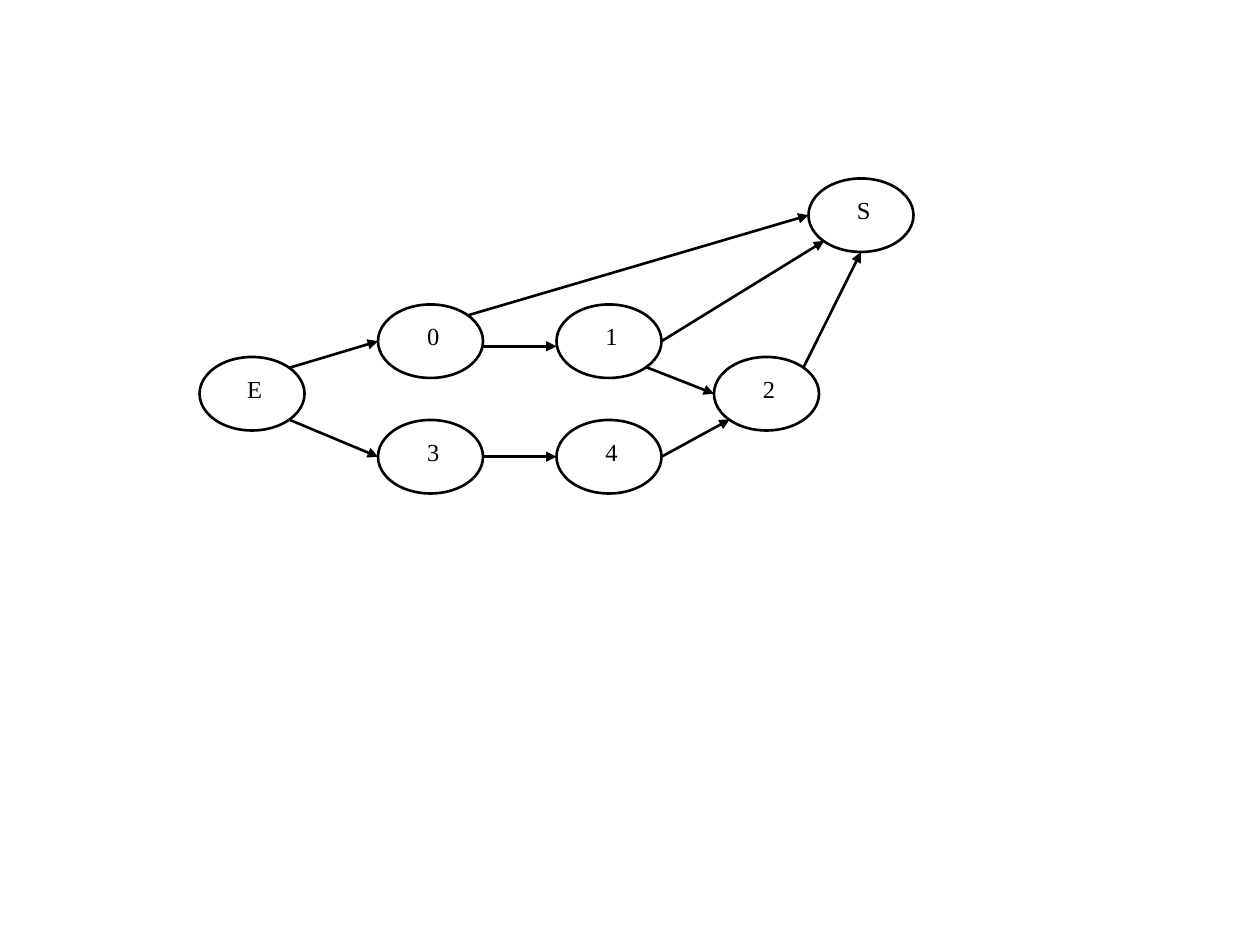
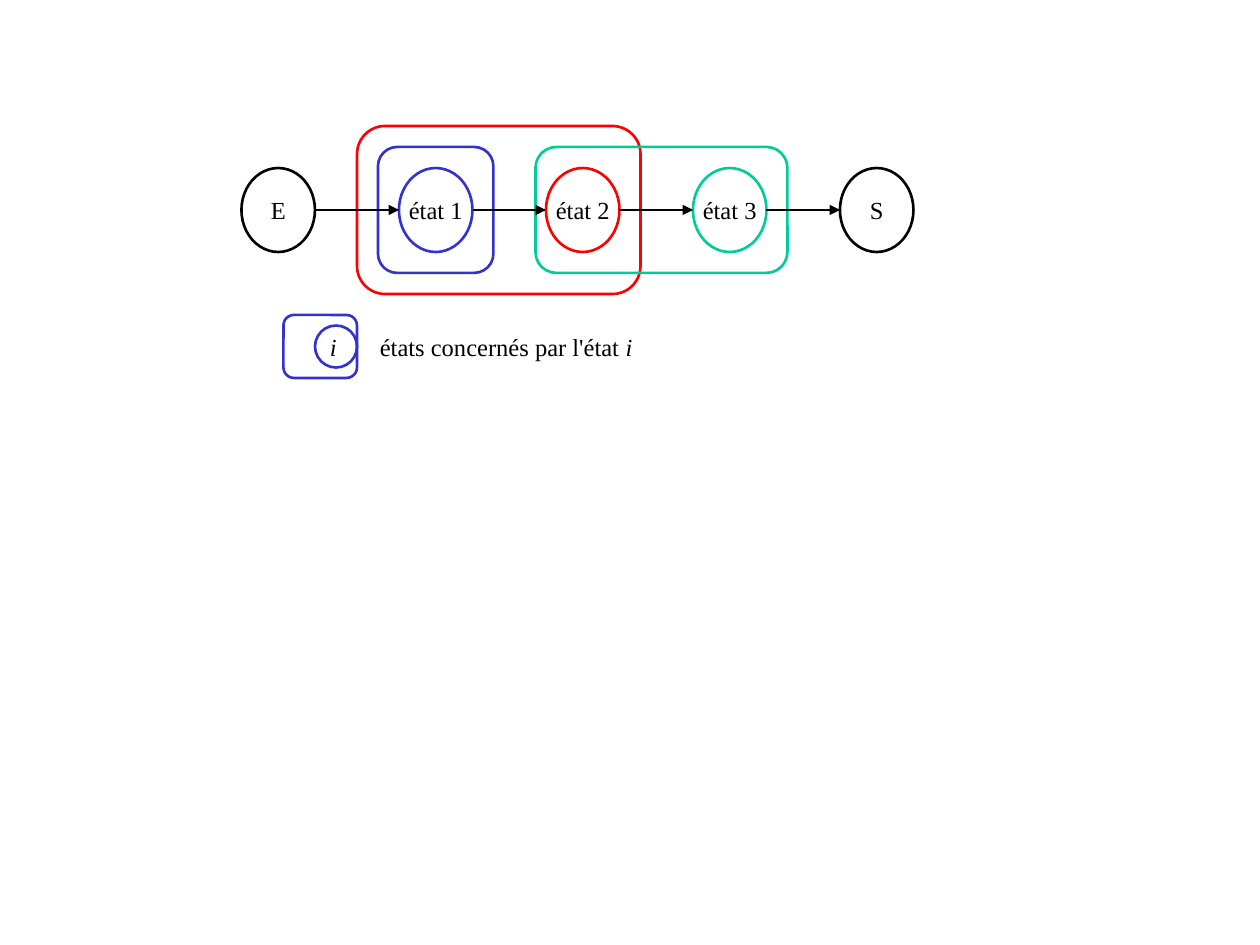
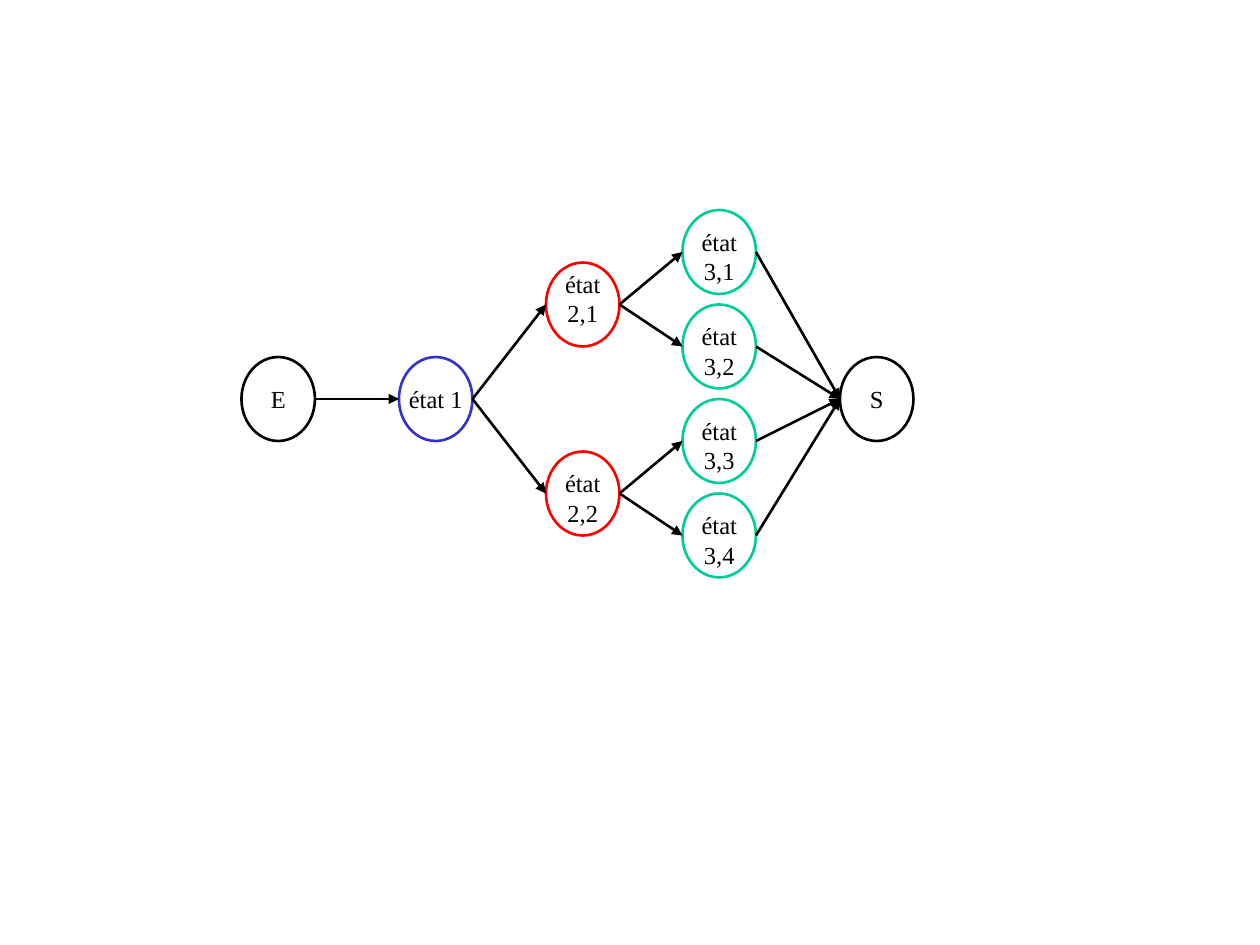
"""Build three state-diagram slides on a grid of 120 columns by 90 rows."""
from lxml.etree import SubElement
from pptx import Presentation
from pptx.dml.color import RGBColor
from pptx.enum.shapes import MSO_CONNECTOR, MSO_SHAPE
from pptx.enum.text import MSO_AUTO_SIZE, PP_ALIGN
from pptx.oxml.ns import qn
from pptx.util import Inches, Pt

COLORS = {"ink": "000000", "blue": "3333CC", "red": "FF0000", "green": "00CC99"}
FONT = "Times New Roman"
FONT_SIZE = Pt(14)
LINE_WIDTH = Pt(1.5)
LINE_ROWS = 4
SITES = {
    "e": (1, 0.5), "w": (0, 0.5), "s": (0.5, 1),
    "ne": (0.85, 0.15), "se": (0.85, 0.85), "sw": (0.15, 0.85),
    "e low": (1, 0.57), "w low": (0, 0.57),
}

prs = Presentation()
prs.slide_width = Inches(10)
prs.slide_height = Inches(7.5)
UNIT = prs.slide_width / 120


def grid(*cells):
    """Turn grid positions into slide lengths."""
    return [round(cell * UNIT) for cell in cells]


def add_label(slide, col, row, width, height, plain, italic="", align=PP_ALIGN.CENTER):
    """Place a label whose last part may be italic."""
    label = slide.shapes.add_textbox(*grid(col, row, width, height))
    frame = label.text_frame
    frame.word_wrap = True
    frame.auto_size = MSO_AUTO_SIZE.SHAPE_TO_FIT_TEXT
    paragraph = frame.paragraphs[0]
    paragraph.text = plain
    paragraph.alignment = align
    if italic:
        variable = paragraph.add_run()
        variable.text = italic
        variable.font.italic = True
    for run in paragraph.runs:
        run.font.name = FONT
        run.font.size = FONT_SIZE
        run.font.color.rgb = RGBColor.from_string(COLORS["ink"])


branching = {
    "size": (10, 7),
    "label": (3, 4.5),
    "states": {
        "0": (36, 29, "ink", 1), "3": (36, 40, "ink", 1),
        "1": (53, 29, "ink", 1), "4": (53, 40, "ink", 1),
        "2": (68, 34, "ink", 1), "E": (19, 34, "ink", 1), "S": (77, 17, "ink", 1),
    },
    "transitions": [
        ("E", "ne", "0", "w"), ("E", "se", "3", "w"),
        ("0", "e low", "1", "w low"), ("3", "e", "4", "w"),
        ("0", "ne", "S", "w"), ("4", "e", "2", "sw"),
        ("1", "e", "S", "sw"), ("2", "ne", "S", "s"), ("1", "se", "2", "w"),
    ],
    "frames": [],
}

chain_states = {
    "E": (23, 16, "ink", 2), "état 1": (38, 16, "blue", 2),
    "état 2": (52, 16, "red", 2), "état 3": (66, 16, "green", 2), "S": (80, 16, "ink", 2),
}
chain_names = list(chain_states)
chain = {
    "size": (7, 8),
    "label": (-1, 9),
    "states": chain_states,
    "transitions": [(a, "e", b, "w") for a, b in zip(chain_names, chain_names[1:])],
    "frames": [
        (MSO_SHAPE.ROUNDED_RECTANGLE, (36, 14, 11, 12), "blue"),
        (MSO_SHAPE.ROUNDED_RECTANGLE, (34, 12, 27, 16), "red"),
        (MSO_SHAPE.ROUNDED_RECTANGLE, (51, 14, 24, 12), "green"),
        (MSO_SHAPE.ROUNDED_RECTANGLE, (27, 30, 7, 6), "blue"),
        (MSO_SHAPE.OVAL, (30, 31, 4, 4), "blue"),
    ],
}

tree_states = {
    "E": (23, 34, "ink", 2), "état 1": (38, 34, "blue", 2), "S": (80, 34, "ink", 2),
    "état 2,1": (52, 25, "red", 0), "état 2,2": (52, 43, "red", 1),
}
tree_transitions = [
    ("E", "e", "état 1", "w"),
    ("état 1", "e", "état 2,1", "w"), ("état 1", "e", "état 2,2", "w"),
]
for index in range(4):
    leaf = f"état 3,{index + 1}"
    tree_states[leaf] = (65, 20 + 9 * index, "green", 1)
    tree_transitions.append((f"état 2,{index // 2 + 1}", "e", leaf, "w"))
    tree_transitions.append((leaf, "e", "S", "w"))
tree = {
    "size": (7, 8),
    "label": (-1, 9),
    "states": tree_states,
    "transitions": tree_transitions,
    "frames": [],
}

slides = []
for diagram in (branching, chain, tree):
    slide = prs.slides.add_slide(prs.slide_layouts[6])
    slides.append(slide)
    width, height = diagram["size"]
    label_shift, label_width = diagram["label"]
    states = diagram["states"]

    outlines = [(MSO_SHAPE.OVAL, (col, row, width, height), color)
                for col, row, color, _ in states.values()]
    for preset, cells, color in outlines + diagram["frames"]:
        outline = slide.shapes.add_shape(preset, *grid(*cells))
        outline.shadow.inherit = False
        outline.fill.background()
        outline.line.color.rgb = RGBColor.from_string(COLORS[color])
        outline.line.width = LINE_WIDTH

    for name, (col, row, _, drop) in states.items():
        rows = 7 if "," in name else LINE_ROWS
        add_label(slide, col + label_shift, row + drop, label_width, rows, name)

    for source, exit_site, target, entry_site in diagram["transitions"]:
        ends = []
        for name, site in ((source, exit_site), (target, entry_site)):
            col, row = states[name][:2]
            across, down = SITES[site]
            ends += [col + across * width, row + down * height]
        arrow = slide.shapes.add_connector(MSO_CONNECTOR.STRAIGHT, *grid(*ends))
        arrow.line.color.rgb = RGBColor.from_string(COLORS["ink"])
        arrow.line.width = LINE_WIDTH
        SubElement(arrow.get_or_add_ln(), qn("a:tailEnd"), type="triangle")
        SubElement(arrow.element.spPr, qn("a:effectLst"))

add_label(slides[1], 35, 31, 31, LINE_ROWS, "états concernés par l'état ", "i", PP_ALIGN.LEFT)
add_label(slides[1], 29.25, 31, 5, LINE_ROWS, "", "i")

prs.save("out.pptx")
